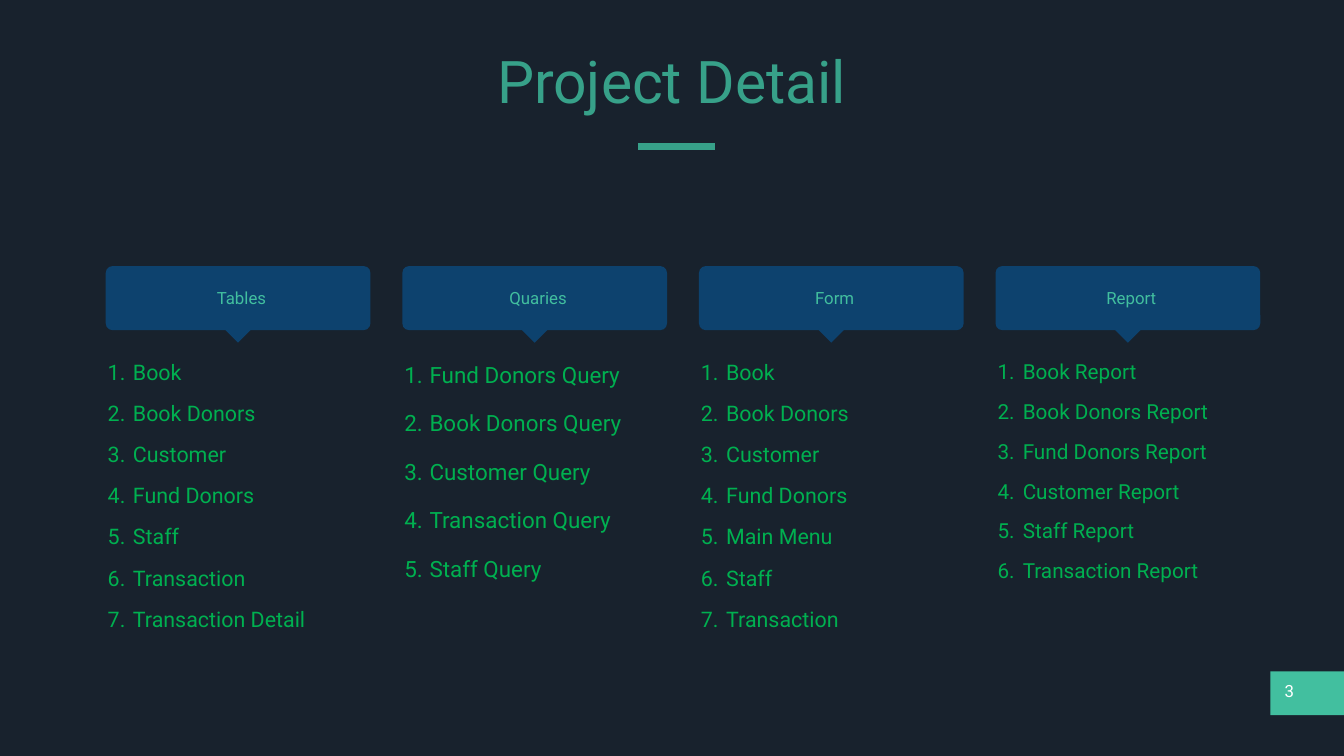
import pptx
import pptx.dml.color
import pptx.enum.shapes
import pptx.enum.text
import pptx.oxml.ns
import pptx.util
from lxml import etree

Cm = pptx.util.Cm
Pt = pptx.util.Pt
SHAPES = pptx.enum.shapes.MSO_SHAPE
ANCHOR = pptx.enum.text.MSO_ANCHOR
ALIGN = pptx.enum.text.PP_ALIGN
FONT = "Roboto"
LINE_HEIGHT = 1.2
NAVY, CARD, TEAL, MINT, GREEN, WHITE = "18222D", "0D426E", "37A189", "42BF9F", "00B050", "FFFFFF"

COLUMNS = [
    ("Tables", 30.6, 0.8, ["Book", "Book Donors", "Customer", "Fund Donors", "Staff",
                           "Transaction", "Transaction Detail"]),
    ("Quaries", 32, 0.9, ["Fund Donors Query", "Book Donors Query", "Customer Query",
                          "Transaction Query", "Staff Query"]),
    ("Form", 30.6, 0.8, ["Book", "Book Donors", "Customer", "Fund Donors", "Main Menu",
                         "Staff", "Transaction"]),
    ("Report", 29.6, 0.8, ["Book Report", "Book Donors Report", "Fund Donors Report",
                           "Customer Report", "Staff Report", "Transaction Report"]),
]


def color(code):
    """Turn a hex string into a colour."""
    return pptx.dml.color.RGBColor.from_string(code)


def add_block(page, kind, left, top, width, height, fill):
    """Add a flat filled shape, measured in centimetres."""
    block = page.shapes.add_shape(kind, Cm(left), Cm(top), Cm(width), Cm(height))
    block.shadow.inherit = False
    block.fill.solid()
    block.fill.fore_color.rgb = color(fill)
    block.line.fill.background()
    return block


def add_text(page, left, top, width, height, lines, size, code, align=ALIGN.CENTER, anchor=ANCHOR.TOP):
    """Add a text box with one paragraph per line and return its paragraphs."""
    box = page.shapes.add_textbox(Cm(left), Cm(top), Cm(width), Cm(height))
    frame = box.text_frame
    frame.word_wrap = True
    frame.vertical_anchor = anchor
    frame.margin_left = frame.margin_right = frame.margin_top = frame.margin_bottom = Cm(0.1)
    frame.text = "\n".join(lines)
    for para in frame.paragraphs:
        para.alignment = align
        para.font.name = FONT
        para.font.size = Pt(size)
        para.font.color.rgb = color(code)
    return frame.paragraphs


def number_items(paras, size, spacing):
    """Number the paragraphs and leave one line of space between them."""
    for para in paras:
        para.line_spacing = spacing
        para.space_after = Pt(round(size * LINE_HEIGHT * spacing, 1))
        properties = para._p.get_or_add_pPr()
        properties.set("marL", str(Cm(1.27)))
        properties.set("indent", str(-Cm(1.27)))
        bullet = etree.SubElement(properties, pptx.oxml.ns.qn("a:buAutoNum"), type="arabicPeriod")
        properties.insert_element_before(bullet, "a:tabLst", "a:defRPr", "a:extLst")


def add_header(page, left, top, width):
    """Place the title and the short rule below it."""
    add_text(page, left, top, width, 4.52, ["Project Detail"], 84, TEAL)
    start, level = left + 23.72, top + 5.23
    rule = page.shapes.add_connector(pptx.enum.shapes.MSO_CONNECTOR.STRAIGHT,
                                     Cm(start), Cm(level), Cm(start + 3.84), Cm(level))
    rule.line.color.rgb = color(TEAL)
    rule.line.width = Pt(11)
    etree.SubElement(rule._element.spPr, pptx.oxml.ns.qn("a:effectLst"))


def add_column(page, left, top, width, heading, size, spacing, items):
    """Place a heading card with its pointer and the numbered list below."""
    height, tip = 3.23, 2.08
    card = add_block(page, SHAPES.ROUNDED_RECTANGLE, left, top, width, height, CARD)
    card.adjustments[0] = 0.106
    pointer = add_block(page, SHAPES.RECTANGLE, left + (width - tip) / 2, top + 1.35, tip, tip, CARD)
    pointer.rotation = 315
    add_text(page, left + 0.17, top, width, height, [heading], 24, MINT, anchor=ANCHOR.MIDDLE)
    paras = add_text(page, left, top + 4.83, 12.73, 15, items, size, GREEN, ALIGN.LEFT)
    number_items(paras, size, spacing)


def add_page_number(page, left, top, width, height):
    """Place the page number on its tab at the right edge."""
    add_block(page, SHAPES.RECTANGLE, left, top, width, height, MINT)
    add_text(page, left + 0.46, top + 0.36, 1, 1.35, ["3"], 24, WHITE)


def main():
    """Build the slide and save it."""
    deck = pptx.Presentation()
    deck.slide_width, deck.slide_height = Cm(67.74), Cm(38.1)
    page = deck.slides.add_slide(deck.slide_layouts[6])
    page.background.fill.solid()
    page.background.fill.fore_color.rgb = color(NAVY)
    add_page_number(page, 64.03, 33.83, 3.71, 2.21)
    add_header(page, 8.46, 2.16, 50.8)
    for index, column in enumerate(COLUMNS):
        add_column(page, 5.33 + index * 14.95, 13.41, 13.34, *column)
    deck.save("out.pptx")


if __name__ == "__main__":
    main()
